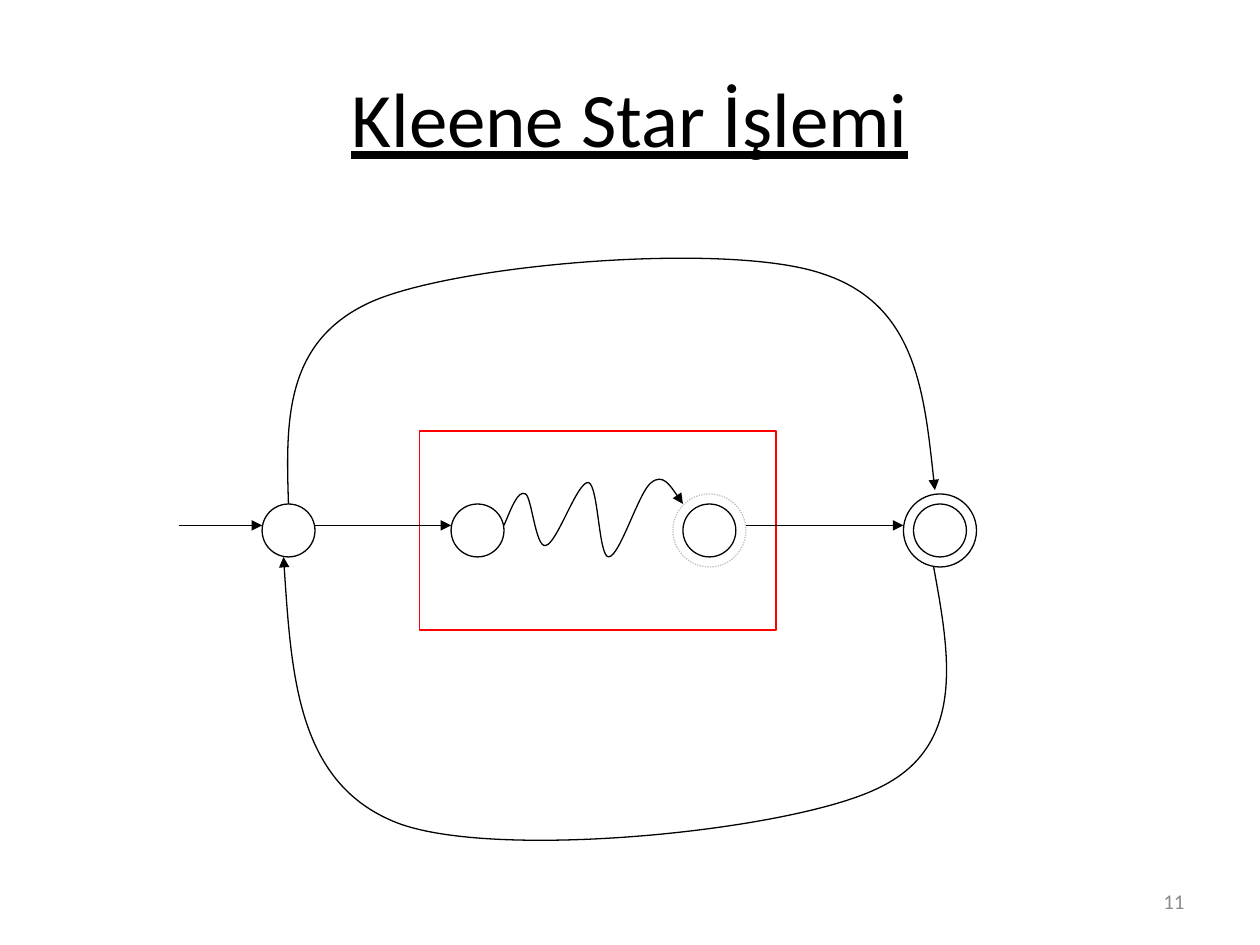
from lxml import etree
from pptx import Presentation
from pptx.dml.color import RGBColor
from pptx.enum.dml import MSO_LINE
from pptx.enum.shapes import MSO_CONNECTOR, MSO_SHAPE
from pptx.enum.text import MSO_ANCHOR, PP_ALIGN
from pptx.oxml.ns import qn
from pptx.util import Inches, Pt

OVAL, RECTANGLE = MSO_SHAPE.OVAL, MSO_SHAPE.RECTANGLE
STRAIGHT = MSO_CONNECTOR.STRAIGHT
DOTTED = MSO_LINE.ROUND_DOT
CENTER, RIGHT = PP_ALIGN.CENTER, PP_ALIGN.RIGHT
MIDDLE = MSO_ANCHOR.MIDDLE
COLORS = {"ink": "000000", "machine": "FF0000", "old_final": "C0C0C0", "number": "8C8C8C"}


def write(shape, text, size, color="ink", align=CENTER, underline=False):
    frame = shape.text_frame
    frame.word_wrap = True
    frame.vertical_anchor = MIDDLE
    paragraph = frame.paragraphs[0]
    paragraph.alignment = align
    run = paragraph.add_run()
    run.text = text
    run.font.name = "Calibri"
    run.font.size = Pt(size)
    run.font.underline = underline
    run.font.color.rgb = RGBColor.from_string(COLORS[color])


def outline(shape, color="ink", arrow=False):
    """Give a thin line without shadow, with an arrowhead at its end if asked."""
    shape.line.color.rgb = RGBColor.from_string(COLORS[color])
    shape.line.width = Pt(0.75)
    properties = shape._element.spPr
    if arrow:
        etree.SubElement(properties.find(qn("a:ln")), qn("a:tailEnd"), type="triangle")
    etree.SubElement(properties, qn("a:effectLst"))


prs = Presentation()
prs.slide_width, prs.slide_height = Inches(10), Inches(7.5)
slide = prs.slides.add_slide(prs.slide_layouts[5])
shapes = slide.shapes

title = shapes.title
title.left, title.top, title.width, title.height = map(Inches, (0.5, 0.3, 9, 1.25))
write(title, "Kleene Star İşlemi", 44, underline=True)

page_number = shapes.add_textbox(*map(Inches, (7.17, 6.95, 2.33, 0.4)))
write(page_number, "11", 12, color="number", align=RIGHT)

machine = shapes.add_shape(RECTANGLE, *map(Inches, (3.33, 3.42, 2.83, 1.58)))
machine.fill.background()
outline(machine, "machine")

# States share one centre height; a final state has a second, wider ring.
STATE_Y, STATE, RING = 4.21, 0.42, 0.58
circles = [
    (2.29, STATE, "ink"),
    (3.79, STATE, "ink"),
    (5.63, STATE, "ink"),
    (5.63, RING, "old_final"),
    (7.46, STATE, "ink"),
    (7.46, RING, "ink"),
]
for center_x, diameter, color in circles:
    circle = shapes.add_shape(
        OVAL, Inches(center_x - diameter / 2), Inches(STATE_Y - diameter / 2),
        Inches(diameter), Inches(diameter))
    circle.fill.background()
    outline(circle, color)
    if color == "old_final":
        circle.line.dash_style = DOTTED

ARROW_Y = Inches(4.17)
for start_x, end_x in [(1.42, 2.08), (2.5, 3.58), (5.92, 7.17)]:
    transition = shapes.add_connector(
        STRAIGHT, Inches(start_x), ARROW_Y, Inches(end_x), ARROW_Y)
    outline(transition, arrow=True)

# Each curve is a start point followed by triples of Bézier points.
curves = [
    # computation inside the machine
    [(4, 4.17), (4.06, 4.03), (4.11, 3.89), (4.17, 3.92),
     (4.22, 3.94), (4.25, 4.35), (4.33, 4.33),
     (4.42, 4.32), (4.58, 3.82), (4.67, 3.83),
     (4.75, 3.85), (4.75, 4.42), (4.83, 4.42),
     (4.92, 4.42), (5.07, 3.9), (5.17, 3.83),
     (5.26, 3.76), (5.34, 3.88), (5.42, 4)],
    # loop back to the start
    [(7.41, 4.5), (7.54, 5.21), (7.67, 5.93), (6.96, 6.26),
     (6.25, 6.6), (3.93, 6.83), (3.15, 6.53),
     (2.36, 6.22), (2.31, 5.32), (2.25, 4.42)],
    # skip to the final state
    [(2.29, 4), (2.27, 3.35), (2.25, 2.7), (2.96, 2.39),
     (3.66, 2.09), (5.78, 1.92), (6.52, 2.17),
     (7.27, 2.41), (7.34, 3.15), (7.42, 3.89)],
]
for points in curves:
    start, *rest = [(Inches(x), Inches(y)) for x, y in points]
    builder = shapes.build_freeform(*start)
    builder.add_line_segments(rest, close=False)
    curve = builder.convert_to_shape()
    curve.fill.background()
    outline(curve, arrow=True)
    drawn_path = next(curve._element.iter(qn("a:path")))
    segments = drawn_path.findall(qn("a:lnTo"))
    for first in range(0, len(segments), 3):
        bezier = etree.SubElement(drawn_path, qn("a:cubicBezTo"))
        for segment in segments[first:first + 3]:
            bezier.append(segment[0])
            drawn_path.remove(segment)

prs.save("out.pptx")
